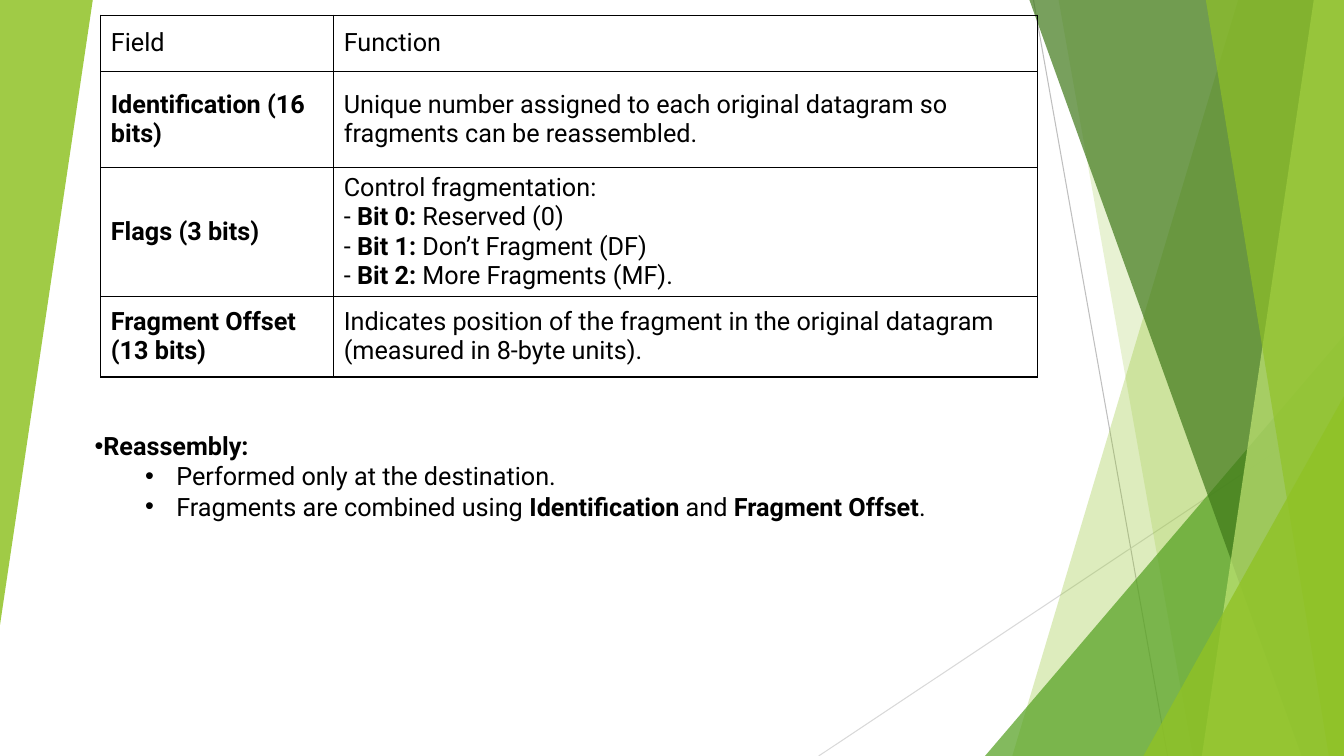
from lxml.etree import SubElement
from pptx import Presentation
from pptx.dml.color import RGBColor
from pptx.enum.shapes import MSO_CONNECTOR, MSO_SHAPE
from pptx.enum.text import MSO_ANCHOR
from pptx.oxml import parse_xml
from pptx.oxml.ns import nsdecls, qn
from pptx.util import Inches, Pt

FONT = "Roboto"
BLACK = RGBColor(0x00, 0x00, 0x00)
GREEN = RGBColor(0x90, 0xC2, 0x26)
MID_GREEN = RGBColor(0x54, 0xA0, 0x21)
DARK_GREEN = RGBColor(0x3F, 0x78, 0x19)
PALE_GREEN = RGBColor(0xC0, 0xE4, 0x74)
GREY = RGBColor(0xBF, 0xBF, 0xBF)
LIGHT_GREY = RGBColor(0xD9, 0xD9, 0xD9)
WIDTH, HEIGHT = 13.33, 7.5

# Double asterisks switch bold on and off; a newline is a line break.
FIELDS = [
    ("Field", "Function"),
    ("**Identification (16 bits)**",
     "Unique number assigned to each original datagram so fragments can be reassembled."),
    ("**Flags (3 bits)**",
     "Control fragmentation:\n- **Bit 0:** Reserved (0)\n"
     "- **Bit 1:** Don’t Fragment (DF)\n- **Bit 2:** More Fragments (MF)."),
    ("**Fragment Offset (13 bits)**",
     "Indicates position of the fragment in the original datagram (measured in 8-byte units)."),
]
COLUMN_WIDTHS = [2.31, 6.98]
ROW_HEIGHTS = [0.56, 0.95, 1.28, 0.8]

# Text, left margin, first-line indent
REASSEMBLY = [
    ("**Reassembly:**", 0, 0),
    ("Performed only at the destination.", 0.81, -0.31),
    ("Fragments are combined using **Identification** and **Fragment Offset**.", 0.81, -0.31),
]

# Start, end, colour
LINES = [
    ((10.25, 0), (11.58, HEIGHT), GREY),
    ((WIDTH, 4.03), (8.12, HEIGHT), LIGHT_GREY),
]
# Bands reach the right edge: top-left x, bottom-left x, colour, opacity in percent
BACK_BANDS = [(12.28, 10.04, GREEN, 30), (10.5, 11.83, GREEN, 20)]
FRONT_BANDS = [
    (10.21, 12.91, DARK_GREEN, 70),
    (13.03, 11.92, PALE_GREEN, 70),
    (11.96, 13.18, GREEN, 65),
]
# Left, top, width, height, rotation, colour, opacity
BACK_TRIANGLE = (9.77, 3.33, 3.56, 4.17, 0, MID_GREEN, 72)
FRONT_TRIANGLE = (11.34, 3.93, 1.99, 3.57, 0, GREEN, 80)
LEFT_TRIANGLE = (0, 0, 0.92, 6.2, 180, GREEN, 85)


def paint(shape, colour, opacity):
    shape.shadow.inherit = False
    shape.line.fill.background()
    shape.fill.solid()
    shape.fill.fore_color.rgb = colour
    tint = shape.fill._xPr.find(qn("a:solidFill"))[0]
    SubElement(tint, qn("a:alpha")).set("val", str(opacity * 1000))


def add_line(page, start, end, colour):
    line = page.shapes.add_connector(
        MSO_CONNECTOR.STRAIGHT, *(Inches(value) for value in start + end))
    line.line.color.rgb = colour
    line.line.width = Pt(0.75)
    SubElement(line._element.spPr, qn("a:effectLst"))


def add_band(page, top_x, bottom_x, colour, opacity):
    outline = page.shapes.build_freeform(Inches(top_x), 0, scale=1.0)
    corners = [(WIDTH, 0), (WIDTH, HEIGHT), (bottom_x, HEIGHT)]
    outline.add_line_segments([(Inches(x), Inches(y)) for x, y in corners], close=True)
    paint(outline.convert_to_shape(), colour, opacity)


def add_triangle(page, left, top, width, height, rotation, colour, opacity):
    shape = page.shapes.add_shape(
        MSO_SHAPE.ISOSCELES_TRIANGLE,
        Inches(left), Inches(top), Inches(width), Inches(height))
    shape.adjustments[0] = 1
    shape.rotation = rotation
    paint(shape, colour, opacity)


def write(para, text, size=18, colour=BLACK, font=FONT):
    for part, piece in enumerate(text.split("**")):
        for row, words in enumerate(piece.split("\n")):
            if row:
                para.add_line_break()
            if words:
                span = para.add_run()
                span.text = words
                span.font.name = font
                span.font.size = Pt(size)
                span.font.color.rgb = colour
                span.font.bold = part % 2 == 1


def border(cell, colour=BLACK, width=1):
    for place, side in enumerate(("lnL", "lnR", "lnT", "lnB")):
        cell._tc.get_or_add_tcPr().insert(place, parse_xml(
            f'<a:{side} {nsdecls("a")} w="{Pt(width)}"><a:solidFill>'
            f'<a:srgbClr val="{colour}"/></a:solidFill></a:{side}>'))


def add_field_table(page):
    table = page.shapes.add_table(
        len(FIELDS), len(COLUMN_WIDTHS), Inches(1), Inches(0.15),
        Inches(sum(COLUMN_WIDTHS)), Inches(sum(ROW_HEIGHTS))).table
    table.first_row = table.horz_banding = False
    for column, width in zip(table.columns, COLUMN_WIDTHS):
        column.width = Inches(width)
    for row, height, texts in zip(table.rows, ROW_HEIGHTS, FIELDS):
        row.height = Inches(height)
        for cell, text in zip(row.cells, texts):
            cell.vertical_anchor = MSO_ANCHOR.MIDDLE
            cell.fill.background()
            border(cell)
            write(cell.text_frame.paragraphs[0], text)


def add_reassembly(page):
    box = page.shapes.add_textbox(Inches(0.84), Inches(4.22), Inches(9.71), Inches(1.01))
    frame = box.text_frame
    frame.word_wrap = True
    for number, (text, margin, indent) in enumerate(REASSEMBLY):
        para = frame.add_paragraph() if number else frame.paragraphs[0]
        para.level = 1 if margin else 0
        properties = para._p.get_or_add_pPr()
        properties.set("marL", str(Inches(margin)))
        properties.set("indent", str(Inches(indent)))
        SubElement(properties, qn("a:buFont")).set("typeface", "Arial")
        SubElement(properties, qn("a:buChar")).set("char", "•")
        write(para, text)


def main():
    deck = Presentation()
    deck.slide_width, deck.slide_height = Inches(WIDTH), Inches(HEIGHT)
    page = deck.slides.add_slide(deck.slide_layouts[6])
    for line in LINES:
        add_line(page, *line)
    for band in BACK_BANDS:
        add_band(page, *band)
    add_triangle(page, *BACK_TRIANGLE)
    for band in FRONT_BANDS:
        add_band(page, *band)
    for triangle in (FRONT_TRIANGLE, LEFT_TRIANGLE):
        add_triangle(page, *triangle)
    add_field_table(page)
    add_reassembly(page)
    deck.save("out.pptx")


if __name__ == "__main__":
    main()
